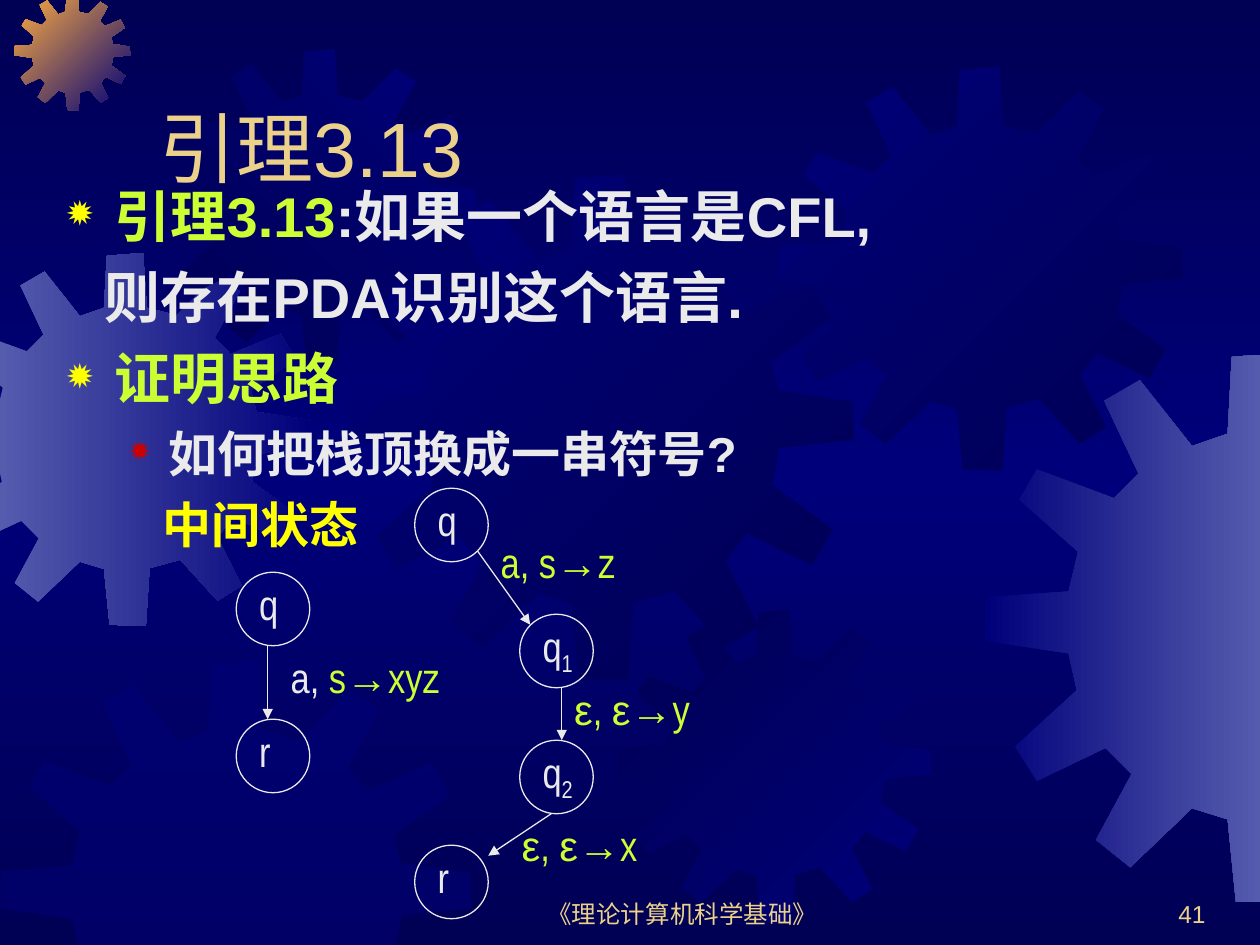
import copy
import dataclasses

import pptx
import pptx.dml.color
import pptx.enum.shapes
import pptx.enum.text
import pptx.oxml
import pptx.oxml.ns
import pptx.util

CELL = pptx.util.Inches(1) / 12
COLUMNS, ROWS = 120, 90
NODE = 7
ANCHOR = pptx.enum.text.MSO_ANCHOR
ALIGN = pptx.enum.text.PP_ALIGN


@dataclasses.dataclass(frozen=True)
class Theme:
    """Colours, fonts and type sizes of the slide."""
    night: str = "000054"
    navy: str = "00007A"
    steel: str = "555BAD"
    amber: str = "FCAB40"
    sand: str = "EBD189"
    white: str = "EAEAEA"
    lime: str = "CCFF33"
    yellow: str = "FFFF00"
    red: str = "CC0000"
    sans: str = "Arial"
    narrow: str = "Arial Narrow"
    title: int = 44
    body: int = 32
    detail: int = 28
    label: int = 24
    footer: int = 14
    line: float = 0.75


THEME = Theme()
GEAR_SPAN = 401
GEAR = [
    (255, 67), (223, 59), (219, 0), (180, 3), (177, 59), (151, 68), (113, 20), (87, 35),
    (112, 88), (94, 106), (38, 85), (25, 107), (68, 145), (61, 174), (1, 178), (0, 210),
    (61, 219), (67, 246), (22, 287), (38, 312), (88, 288), (107, 307), (81, 355), (106, 375),
    (151, 332), (177, 340), (183, 400), (222, 401), (226, 339), (259, 330), (299, 374), (325, 358),
    (299, 306), (316, 284), (368, 309), (384, 281), (336, 246), (342, 216), (401, 210), (400, 180),
    (341, 171), (335, 148), (383, 114), (367, 87), (313, 109), (296, 91), (323, 41), (297, 25),
]


def cells(*counts):
    """Turn counts of grid cells into lengths."""
    return [pptx.util.Emu(round(count * CELL)) for count in counts]


def rgb(colour):
    """Return a colour object for a hex string."""
    return pptx.dml.color.RGBColor.from_string(colour)


def element(parent, tag, **attributes):
    """Append a DrawingML element to a parent."""
    child = pptx.oxml.parse_xml(f"<a:{tag} {pptx.oxml.ns.nsdecls('a')}/>")
    for name, value in attributes.items():
        child.set(name, str(value))
    parent.append(child)
    return child


def paint_gradient(fill, first, last, angle):
    """Give a fill two colours along a clockwise angle."""
    fill.gradient()
    fill.gradient_angle = (360 - angle) % 360
    for stop, colour, position in zip(fill.gradient_stops, (first, last), (0, 1)):
        stop.color.rgb = rgb(colour)
        stop.position = position


def paint_backdrop(page):
    """Shade the page from dark to navy and back."""
    fill = page.background.fill
    paint_gradient(fill, THEME.night, THEME.navy, 90)
    stops = page.element.find(".//" + pptx.oxml.ns.qn("a:gsLst"))
    stops.append(copy.deepcopy(stops[0]))
    fill.gradient_stops[1].position = 0.5
    fill.gradient_stops[2].position = 1


def clip(points, axis, limit, side):
    """Cut a polygon along one edge of the page."""
    kept = []
    for start, end in zip(points, points[1:] + points[:1]):
        before, after = (side * (point[axis] - limit) for point in (start, end))
        if before >= 0:
            kept.append(start)
        if before * after < 0:
            share = before / (before - after)
            kept.append(tuple(a + share * (b - a) for a, b in zip(start, end)))
    return kept


def add_gear(page, left, top, size):
    """Draw a gear wheel, cut at the page edges."""
    points = [(left + x * size / GEAR_SPAN, top + y * size / GEAR_SPAN) for x, y in GEAR]
    for axis, limit, side in ((0, 0, 1), (0, COLUMNS, -1), (1, 0, 1), (1, ROWS, -1)):
        points = clip(points, axis, limit, side)
    corners = [cells(*point) for point in points]
    builder = page.shapes.build_freeform(*corners[0], scale=1.0)
    builder.add_line_segments(corners[1:], close=True)
    gear = builder.convert_to_shape()
    gear.shadow.inherit = False
    gear.line.fill.background()
    return gear


def add_gears(page):
    """Place the decorative wheels from back to front."""
    wheels = [
        ((-5.76, 24.1, 35.5), THEME.steel, THEME.navy, 0),
        ((1.4, -0.5, 11), THEME.amber, THEME.navy, 45),
        ((15.6, 4.7, 29.8), THEME.night, THEME.navy, 315),
        ((33.2, 16.7, 48.1), THEME.navy, THEME.night, 45),
        ((0, 63, 44.9), THEME.navy, None, 0),
        ((58.9, 58.1, 29.8), THEME.night, THEME.navy, 45),
        ((74.2, 6.4, 38.4), THEME.navy, THEME.night, 45),
        ((93.8, 33.6, 52.4), THEME.navy, THEME.steel, 0),
    ]
    for place, first, last, angle in wheels:
        gear = add_gear(page, *place)
        if last:
            paint_gradient(gear.fill, first, last, angle)
        else:
            gear.fill.solid()
            gear.fill.fore_color.rgb = rgb(first)
            element(gear.element.find(".//" + pptx.oxml.ns.qn("a:srgbClr")), "alpha", val=50000)


def add_span(para, text, size, colour, font=THEME.sans, bold=False):
    """Append one formatted run."""
    span = para.add_run()
    span.text = text
    span.font.size = pptx.util.Pt(size)
    span.font.color.rgb = rgb(colour)
    span.font.name = font
    span.font.bold = bold
    return span


def add_box(shapes, place, anchor=ANCHOR.TOP):
    """Add a wrapping text box and return its frame."""
    frame = shapes.add_textbox(*cells(*place)).text_frame
    frame.word_wrap = True
    frame.vertical_anchor = anchor
    return frame


def add_line_of_text(page, place, text, size, align=ALIGN.LEFT):
    """Place a one-line text that sits on the bottom of its box."""
    para = add_box(page.shapes, place, ANCHOR.BOTTOM).paragraphs[0]
    para.alignment = align
    add_span(para, text, size, THEME.sand)


def add_body(page, place):
    """Write the lemma and the idea of its proof."""
    frame = add_box(page.shapes, place)
    top, sub = (THEME.body, 8, THEME.yellow, 80), (THEME.detail, 7, THEME.red, 70)
    rows = [
        (top, 0, 0.38, True, [("引理3.13", THEME.lime), (":如果一个语言是CFL,", THEME.white)]),
        (top, 0, 0.3, False, [("则存在PDA识别这个语言.", THEME.white)]),
        (top, 0, 0.38, True, [("证明思路", THEME.lime)]),
        (sub, 1, 0.81, True, [("如何把栈顶换成一串符号?", THEME.white)]),
        (sub, 1, 0.76, False, [("中间状态", THEME.yellow)]),
    ]
    for index, ((size, gap, tint, scale), level, margin, bullet, spans) in enumerate(rows):
        para = frame.add_paragraph() if index else frame.paragraphs[0]
        para.level = level
        hang = (0.31 if level else 0.38) if bullet else 0
        props = para._p.get_or_add_pPr()
        props.set("marL", str(pptx.util.Inches(margin)))
        props.set("indent", str(-pptx.util.Inches(hang)))
        if bullet:
            element(element(props, "buClr"), "srgbClr", val=tint)
            element(props, "buSzPct", val=scale * 1000)
            element(props, "buChar", char="✹")
        else:
            element(props, "buNone")
        if index:
            para.space_before = pptx.util.Pt(gap)
        for text, colour in spans:
            add_span(para, text, size, colour, bold=True)


def add_state(shapes, left, top, name, index=""):
    """Draw a state circle with its name."""
    circle = shapes.add_shape(pptx.enum.shapes.MSO_SHAPE.OVAL, *cells(left, top, NODE, NODE))
    circle.shadow.inherit = False
    circle.fill.background()
    circle.line.color.rgb = rgb(THEME.white)
    circle.line.width = pptx.util.Pt(THEME.line)
    spans = [(name, THEME.white, THEME.narrow)]
    para = add_label(shapes, left + 1, top, NODE, spans)
    if index:
        span = add_span(para, index, THEME.label, THEME.white, THEME.narrow)
        span.font._element.set("baseline", "-25000")


def add_label(shapes, left, top, width, spans):
    """Write a diagram label and return its paragraph."""
    frame = add_box(shapes, (left, top, width, 6))
    frame.auto_size = pptx.enum.text.MSO_AUTO_SIZE.SHAPE_TO_FIT_TEXT
    for text, colour, font in spans:
        add_span(frame.paragraphs[0], text, THEME.label, colour, font)
    return frame.paragraphs[0]


def add_arrow(shapes, *ends):
    """Draw a transition arrow."""
    arrow = shapes.add_connector(pptx.enum.shapes.MSO_CONNECTOR.STRAIGHT, *cells(*ends))
    arrow.line.color.rgb = rgb(THEME.white)
    arrow.line.width = pptx.util.Pt(THEME.line)
    element(arrow.line._get_or_add_ln(), "tailEnd", type="triangle")
    element(arrow.element.spPr, "effectLst")


def add_diagram(page, left, top, states, arrows, labels):
    """Group states, arrows and labels placed from a corner."""
    shapes = page.shapes.add_group_shape().shapes
    for x, y, *name in states:
        add_state(shapes, left + x, top + y, *name)
    for x1, y1, x2, y2 in arrows:
        add_arrow(shapes, left + x1, top + y1, left + x2, top + y2)
    for x, y, width, spans in labels:
        add_label(shapes, left + x, top + y, width, spans)


def add_diagrams(page):
    """Show the single step and its chain of steps."""
    sans, narrow, lime = THEME.sans, THEME.narrow, THEME.lime
    arrow = ("→", lime, sans)
    empty = [("ε", lime, sans), (", ", lime, narrow), ("ε→", lime, sans)]
    single = [("a, ", THEME.white, narrow), ("s", lime, narrow), arrow, ("xyz", lime, narrow)]
    first = [("a, s", lime, narrow), arrow, ("z", lime, narrow)]
    add_diagram(page, 22.5, 54.5, [(0, 0, "q"), (0, 14, "r")], [(3, 7, 3, 14)], [(4, 7, 18, single)])
    add_diagram(
        page, 39.5, 46.5,
        [(0, 0, "q"), (10, 12, "q", "1"), (10, 24, "q", "2"), (0, 34, "r")],
        [(6, 6, 11, 13), (14, 19, 14, 24), (13, 31, 7, 35)],
        [(7, 4, 18, first), (14, 18, 15, empty + [("y", lime, narrow)]),
         (9, 31, 18, empty + [("x", lime, narrow)])])


def main():
    """Build the slide and save the deck."""
    deck = pptx.Presentation()
    deck.slide_width, deck.slide_height = cells(COLUMNS, ROWS)
    page = deck.slides.add_slide(deck.slide_layouts[6])
    paint_backdrop(page)
    add_gears(page)
    add_line_of_text(page, (46, 83, 38, 6), "《理论计算机科学基础》", THEME.footer, ALIGN.CENTER)
    add_line_of_text(page, (91, 83, 25, 6), "41", THEME.footer, ALIGN.RIGHT)
    add_line_of_text(page, (14, 4, 102, 15), "引理3.13", THEME.title)
    add_body(page, (5.17, 16.7, 102, 37))
    add_diagrams(page)
    deck.save("out.pptx")


if __name__ == "__main__":
    main()
